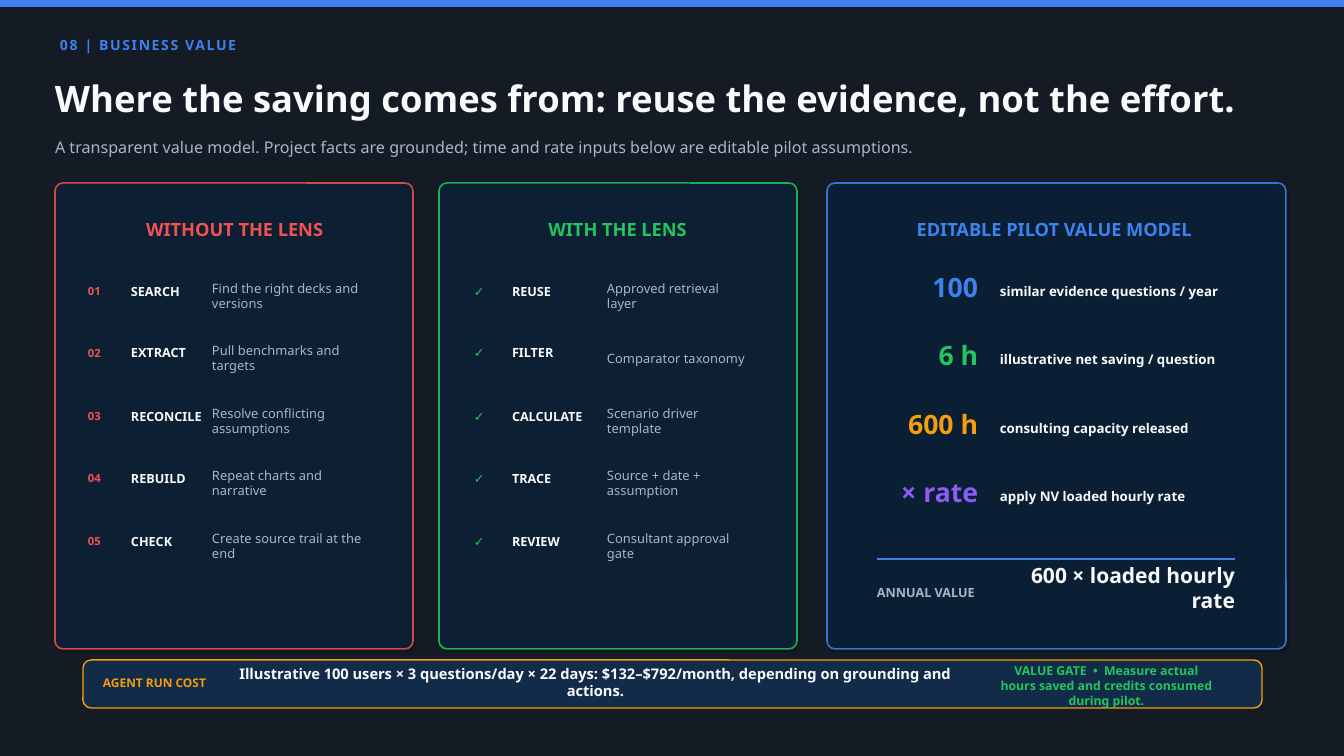
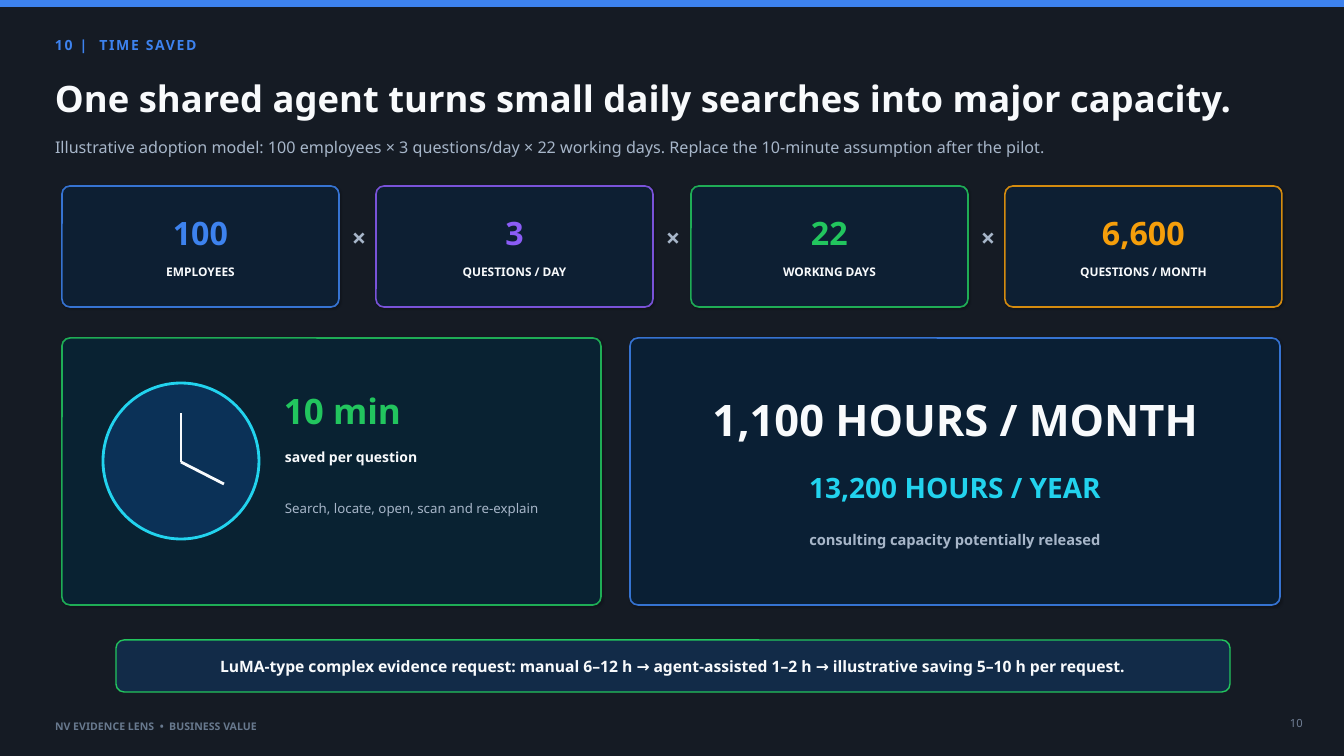
from lxml import etree
from pptx import Presentation
from pptx.dml.color import RGBColor
from pptx.enum.shapes import MSO_CONNECTOR, MSO_SHAPE
from pptx.enum.text import MSO_ANCHOR, PP_ALIGN
from pptx.oxml.ns import qn
from pptx.util import Emu, Pt

EMU_PER_PX = 914400 / 100.8
WIDTH, HEIGHT = 1344, 756
FONT = "Noto Sans"
RADIUS = 8
LEFT, CENTER, RIGHT = PP_ALIGN.LEFT, PP_ALIGN.CENTER, PP_ALIGN.RIGHT
COLORS = {
    "veil": "020812", "card": "0D2035", "card_blue": "0A2036",
    "card_green": "092334", "band": "122B48", "dial": "0B3157",
    "white": "F8FAFC", "muted": "A7B6C9", "footer": "68798E", "page": "718096",
    "blue": "3D82EE", "red": "F05252", "green": "22C55E",
    "amber": "F59E0B", "violet": "8B5CF6", "cyan": "22D3EE",
}


def px(value):
    return Emu(round(value * EMU_PER_PX))


def rgb(name):
    return RGBColor.from_string(COLORS[name])


def set_alpha(color_format_parent, percent):
    """Make the solid colour found under the given element translucent."""
    color = color_format_parent.find(".//" + qn("a:srgbClr"))
    etree.SubElement(color, qn("a:alpha"), val=str(percent * 1000))


class Deck:
    def __init__(self):
        self.prs = Presentation()
        self.prs.slide_width, self.prs.slide_height = px(WIDTH), px(HEIGHT)
        self.slide = None

    # Shared slide frame
    def new_slide(self, section, section_x, title, subtitle, page, page_x, page_w):
        self.slide = self.prs.slides.add_slide(self.prs.slide_layouts[6])
        self.shape(MSO_SHAPE.RECTANGLE, 0, 0, WIDTH, HEIGHT, "veil", alpha=92)
        self.shape(MSO_SHAPE.RECTANGLE, 0, 0, WIDTH, 7, "blue")
        self.text(section, section_x, 35, 484, 20, 10, "blue", spacing=1.2)
        self.text(title, 55, 73, 1215, 50, 26, "white")
        self.text(subtitle, 55, 131, 1194, 32, 11.5, "muted", bold=False)
        number = self.text(page, page_x, 711, page_w, 20, 8, "page", bold=False)
        number.margin_left = number.margin_right = px(10)
        number.margin_top = number.margin_bottom = px(5)
        number.vertical_anchor = MSO_ANCHOR.TOP

    def shape(self, kind, x, y, w, h, fill, line=None, weight=1, alpha=None):
        shape = self.slide.shapes.add_shape(kind, px(x), px(y), px(w), px(h))
        shape.shadow.inherit = False
        shape.fill.solid()
        shape.fill.fore_color.rgb = rgb(fill)
        if alpha:
            set_alpha(shape.element.spPr.find(qn("a:solidFill")), alpha)
        if line:
            shape.line.color.rgb = rgb(line)
            shape.line.width = Pt(weight)
        else:
            shape.line.fill.background()
        return shape

    def rounded(self, x, y, w, h, fill, line, weight=1, alpha=None):
        box = self.shape(MSO_SHAPE.ROUNDED_RECTANGLE, x, y, w, h, fill, line, weight, alpha)
        box.adjustments[0] = RADIUS / min(w, h)
        return box

    def card(self, x, y, w, h, line, fill="card"):
        properties = self.rounded(x, y, w, h, fill, line, 1.15, 94).element.spPr
        set_alpha(properties.find(qn("a:ln")), 85)
        shadow = etree.SubElement(
            properties.find(qn("a:effectLst")), qn("a:outerShdw"),
            blurRad=str(Pt(1.2)), dist=str(Pt(1)), dir=str(45 * 60000),
            algn="ctr", rotWithShape="0")
        etree.SubElement(shadow, qn("a:srgbClr"), val="000000")
        set_alpha(shadow, 22)

    def text(self, words, x, y, w, h, size, color, align=LEFT, bold=True, spacing=None):
        frame = self.slide.shapes.add_textbox(px(x), px(y), px(w), px(h)).text_frame
        frame.word_wrap = True
        frame.vertical_anchor = MSO_ANCHOR.MIDDLE
        frame.margin_left = frame.margin_right = 0
        frame.margin_top = frame.margin_bottom = 0
        paragraph = frame.paragraphs[0]
        paragraph.alignment = align
        run = paragraph.add_run()
        run.text = words
        run.font.name, run.font.size, run.font.bold = FONT, Pt(size), bold
        run.font.color.rgb = rgb(color)
        if spacing:
            run.font._element.set("spc", str(round(spacing * 100)))
        return frame

    def line(self, x1, y1, x2, y2, color, weight):
        line = self.slide.shapes.add_connector(
            MSO_CONNECTOR.STRAIGHT, px(x1), px(y1), px(x2), px(y2))
        line.line.color.rgb = rgb(color)
        line.line.width = Pt(weight)
        etree.SubElement(line.element.spPr, qn("a:effectLst"))

    def step_list(self, steps, color, marker_size, columns):
        """Rows of marker, step name and description."""
        (marker_x, marker_w), (name_x, name_w), (detail_x, detail_w) = columns
        for row, (marker, name, detail) in enumerate(steps):
            y = 282 + row * 125 // 2
            self.text(marker, marker_x, y, marker_w, 18, marker_size, color)
            self.text(name, name_x, y, name_w, 18, 9, "white")
            self.text(detail, detail_x, y - 2, detail_w, 32, 9.2, "muted", bold=False)


deck = Deck()

# Slide 1: business value
deck.new_slide(
    "08 | BUSINESS VALUE", 60,
    "Where the saving comes from: reuse the evidence, not the effort.",
    "A transparent value model. Project facts are grounded; time and rate inputs "
    "below are editable pilot assumptions.", "9", 1300, 20)

# Three columns
for heading, x, w, heading_x, heading_w, color, fill in [
    ("WITHOUT THE LENS", 55, 358, 91, 287, "red", "card"),
    ("WITH THE LENS", 439, 358, 474, 287, "green", "card"),
    ("EDITABLE PILOT VALUE MODEL", 827, 459, 865, 378, "blue", "card_blue"),
]:
    deck.card(x, 183, w, 466, color, fill)
    deck.text(heading, heading_x, 217, heading_w, 25, 13, color, CENTER)

manual_steps = [
    ("SEARCH", "Find the right decks and versions"),
    ("EXTRACT", "Pull benchmarks and targets"),
    ("RECONCILE", "Resolve conflicting assumptions"),
    ("REBUILD", "Repeat charts and narrative"),
    ("CHECK", "Create source trail at the end"),
]
deck.step_list([(f"{n:02}", *step) for n, step in enumerate(manual_steps, 1)],
               "red", 8, [(88, 38), (131, 86), (212, 159)])

lens_steps = [
    ("REUSE", "Approved retrieval layer"),
    ("FILTER", "Comparator taxonomy"),
    ("CALCULATE", "Scenario driver template"),
    ("TRACE", "Source + date + assumption"),
    ("REVIEW", "Consultant approval gate"),
]
deck.step_list([("✓", *step) for step in lens_steps],
               "green", 9, [(474, 38), (512, 73), (607, 141)])

# Value model
for row, (value, meaning, color) in enumerate([
    ("100", "similar evidence questions / year", "blue"),
    ("6 h", "illustrative net saving / question", "green"),
    ("600 h", "consulting capacity released", "amber"),
    ("× rate", "apply NV loaded hourly rate", "violet"),
]):
    y = 272 + row * 137 // 2
    deck.text(value, 872, y, 106, 30, 19, color, RIGHT)
    deck.text(meaning, 1000, y + 8, 227, 22, 9.5, "white")
deck.line(877, 559, 1235, 559, "blue", 1.5)
deck.text("ANNUAL VALUE", 877, 583, 121, 18, 9, "muted")
deck.text("600 × loaded hourly rate", 998, 573, 237, 30, 15, "white", RIGHT)

# Run cost band
deck.rounded(83, 660, 1179, 48, "band", "amber")
deck.text("AGENT RUN COST", 103, 676, 116, 14, 8.5, "amber")
deck.text("Illustrative 100 users × 3 questions/day × 22 days: $132–$792/month, "
          "depending on grounding and actions.", 230, 671, 731, 22, 10.5, "white", CENTER)
deck.text("VALUE GATE  •  Measure actual hours saved and credits consumed during pilot.",
          998, 673, 217, 25, 8.8, "green", CENTER)

# Slide 2: time saved
deck.new_slide(
    "10 |  TIME SAVED", 55,
    "One shared agent turns small daily searches into major capacity.",
    "Illustrative adoption model: 100 employees × 3 questions/day × 22 working days. "
    "Replace the 10-minute assumption after the pilot.", "10", 1280, 40)

# Factor cards
factors = [
    ("100", "EMPLOYEES", "blue"),
    ("3", "QUESTIONS / DAY", "violet"),
    ("22", "WORKING DAYS", "green"),
    ("6,600", "QUESTIONS / MONTH", "amber"),
]
for column, (value, label, color) in enumerate(factors):
    x = 62 + column * 629 // 2
    deck.card(x, 186, 277, 121, color)
    deck.text(value, x + 20, 214, 237, 38, 23, color, CENTER)
    deck.text(label, x + 20, 264, 237, 16, 8.5, "white", CENTER)
    if column < len(factors) - 1:
        deck.text("×", x + 280, 225, 34, 25, 18, "muted", CENTER)

# Time per question
deck.card(62, 338, 539, 267, "green", "card_green")
deck.shape(MSO_SHAPE.OVAL, 103, 383, 156, 156, "dial", "cyan", 2)
for hand_x, hand_y in [(181, 413), (224, 484)]:
    deck.line(181, 462, hand_x, hand_y, "white", 2)
deck.text("10 min", 284, 391, 156, 40, 25, "green")
deck.text("saved per question", 285, 446, 190, 22, 10, "white")
deck.text("Search, locate, open, scan and re-explain", 285, 491, 262, 34, 9.5, "muted", bold=False)

# Released capacity
deck.card(630, 338, 650, 267, "blue", "card_blue")
deck.text("1,100 HOURS / MONTH", 670, 391, 570, 56, 31, "white", CENTER)
deck.text("13,200 HOURS / YEAR", 741, 470, 428, 34, 20, "cyan", CENTER)
deck.text("consulting capacity potentially released", 741, 529, 428, 22, 10.5, "muted", CENTER)

# Example band and footer
deck.rounded(116, 640, 1114, 52, "band", "green")
deck.text("LuMA-type complex evidence request: manual 6–12 h → agent-assisted 1–2 h → "
          "illustrative saving 5–10 h per request.", 151, 657, 1043, 18, 11.2, "white", CENTER)
deck.text("NV EVIDENCE LENS  •  BUSINESS VALUE", 55, 718, 343, 16, 7.5, "footer")

deck.prs.save("out.pptx")
